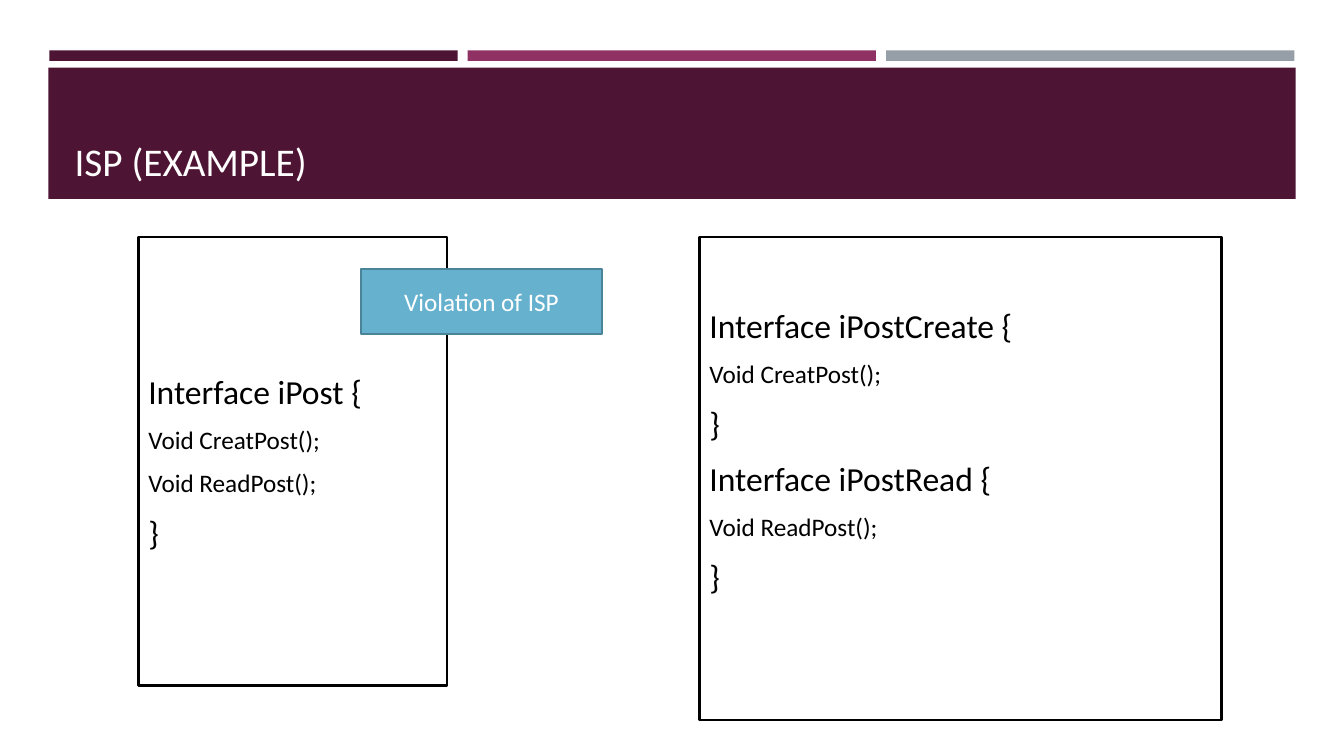
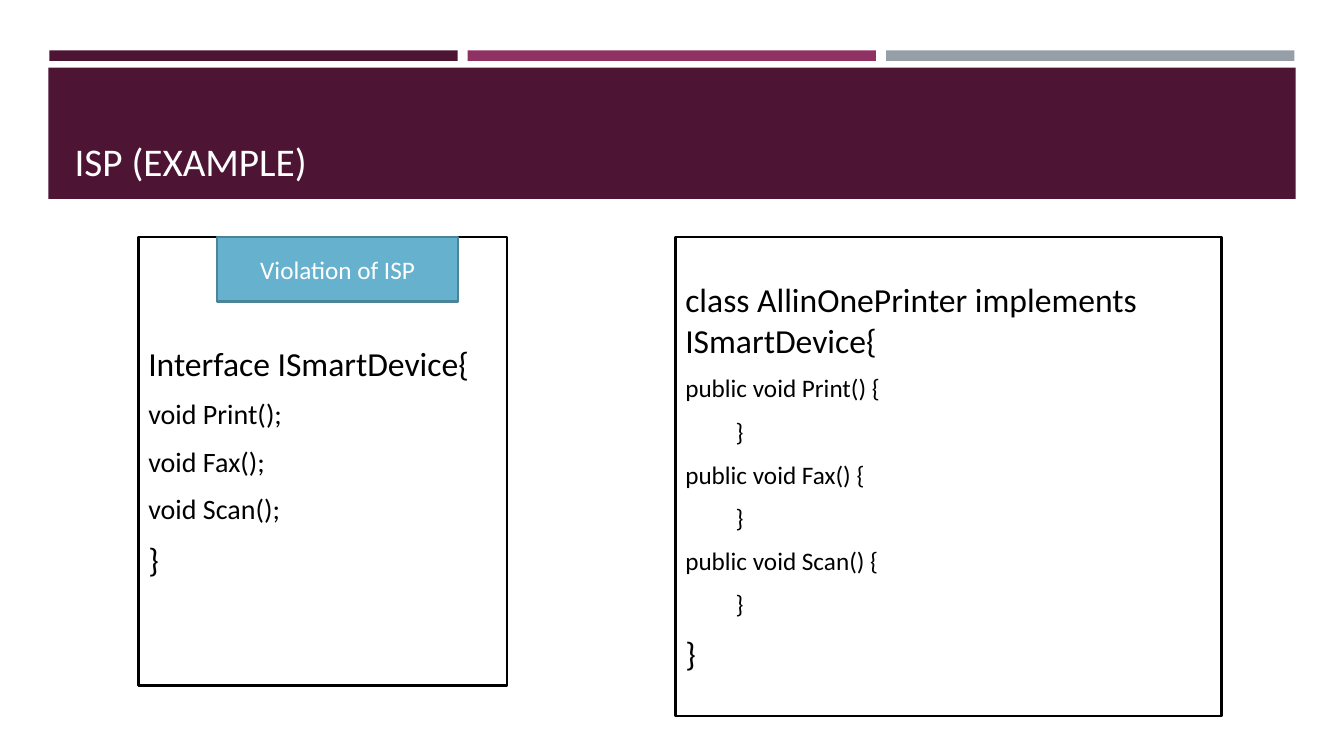
import dataclasses

import pptx
import pptx.dml.color
import pptx.enum.shapes
import pptx.enum.text
import pptx.util

Pt = pptx.util.Pt
Align = pptx.enum.text.PP_ALIGN
Anchor = pptx.enum.text.MSO_ANCHOR

# Shared style
FONT = "Calibri"
PLUM, ROSE, GREY = "4D1434", "903163", "969FA7"
SKY, TEAL, BLACK, WHITE = "66B1CE", "4B8398", "000000", "FFFFFF"
WIDE, HIGH = pptx.util.Inches(13.33), pptx.util.Inches(7.5)
TITLE = "ISP (EXAMPLE)"
TOP = 31.35


@dataclasses.dataclass
class Box:
    """Left, top, width and height in percent of the slide."""
    left: float
    top: float
    width: float
    height: float

    def place(self) -> tuple[int, int, int, int]:
        return (int(WIDE * self.left / 100), int(HIGH * self.top / 100),
                int(WIDE * self.width / 100), int(HIGH * self.height / 100))


@dataclasses.dataclass
class Line:
    text: str
    size: int = 24
    indent: float = 0


@dataclasses.dataclass
class Panel:
    box: Box
    lines: list[Line]
    align: Align = Align.LEFT
    base: float = 0.05  # bottom inset in inches


@dataclasses.dataclass
class Page:
    panels: list[Panel]
    tag: Box


def color(code: str) -> pptx.dml.color.RGBColor:
    return pptx.dml.color.RGBColor.from_string(code)


def write(para, text: str, size: int, code: str) -> None:
    run = para.add_run()
    run.text = text
    run.font.name = FONT
    run.font.size = Pt(size)
    run.font.color.rgb = color(code)


def block(slide, box: Box, fill: str, edge: str = ""):
    shape = slide.shapes.add_shape(
        pptx.enum.shapes.MSO_SHAPE.RECTANGLE, *box.place())
    shape.shadow.inherit = False
    shape.fill.solid()
    shape.fill.fore_color.rgb = color(fill)
    if edge:
        shape.line.color.rgb = color(edge)
        shape.line.width = Pt(1.75)
    else:
        shape.line.fill.background()
    frame = shape.text_frame
    frame.word_wrap = True
    frame.vertical_anchor = Anchor.MIDDLE
    return shape


def brand(slide) -> None:
    """Draw the bands and move them to the layout that all slides share."""
    bands = [block(slide, Box(3.67 + 31.13 * col, 6.67, 30.38, 1.37), fill)
             for col, fill in enumerate((PLUM, ROSE, GREY))]
    bands.append(block(slide, Box(3.6, 8.95, 92.8, 17.35), PLUM))
    tree = slide.slide_layout.shapes._spTree
    for num, band in enumerate(bands):
        band._element.nvSpPr.cNvPr.set("id", str(100 + num))
        tree.insert(2 + num, band._element)


def head(slide) -> None:
    title = slide.shapes.title
    title.left, title.top, title.width, title.height = Box(
        4.8, 10.25, 90.5, 14.8).place()
    frame = title.text_frame
    frame.word_wrap = True
    frame.vertical_anchor = Anchor.BOTTOM
    para = frame.paragraphs[0]
    para.alignment = Align.LEFT
    write(para, TITLE, 28, WHITE)


def code(slide, panel: Panel) -> None:
    frame = block(slide, panel.box, WHITE, BLACK).text_frame
    frame.margin_bottom = pptx.util.Inches(panel.base)
    for num, line in enumerate(panel.lines):
        para = frame.add_paragraph() if num else frame.paragraphs[0]
        para.alignment = panel.align
        para.space_before = Pt(line.size * 0.18)
        para.space_after = Pt(6)
        if line.indent:
            left = pptx.util.Inches(line.indent)
            para._p.get_or_add_pPr().set("marL", str(left))
        write(para, line.text, line.size, BLACK)


def label(slide, box: Box) -> None:
    para = block(slide, box, SKY, TEAL).text_frame.paragraphs[0]
    para.alignment = Align.CENTER
    write(para, "Violation of ISP", 18, WHITE)


# Slide content
END = Line("}")
MAKE, READ = Line("Void CreatPost();", 18), Line("Void ReadPost();", 18)
JOBS = ("Print", "Fax", "Scan")
BODY = [line for job in JOBS
        for line in (Line(f"public void {job}() {{", 18), Line("}", 18, 0.5))]

PAGES = [
    Page([
        Panel(Box(10.3, TOP, 22.95, 59.35),
              [Line("Interface iPost {"), MAKE, READ, END], Align.JUSTIFY),
        Panel(Box(52.05, TOP, 38.85, 63.9),
              [Line("Interface iPostCreate {"), MAKE, END,
               Line("Interface iPostRead {"), READ, END],
              Align.JUSTIFY, 0.6),
    ], Box(26.85, 35.6, 17.95, 8.55)),
    Page([
        Panel(Box(10.3, TOP, 27.45, 59.35),
              [Line("Interface ISmartDevice{"),
               *(Line(f"void {job}();", 20) for job in JOBS), END]),
        Panel(Box(50.25, TOP, 40.65, 63.35),
              [Line("class AllinOnePrinter implements ISmartDevice{"),
               *BODY, END]),
    ], Box(16.15, TOP, 17.95, 8.55)),
]


def main() -> None:
    deck = pptx.Presentation()
    deck.slide_width, deck.slide_height = WIDE, HIGH
    for num, page in enumerate(PAGES):
        slide = deck.slides.add_slide(deck.slide_layouts[5])
        if num == 0:
            brand(slide)
        head(slide)
        first, last = page.panels
        code(slide, first)
        label(slide, page.tag)
        code(slide, last)
    deck.save("out.pptx")


if __name__ == "__main__":
    main()
